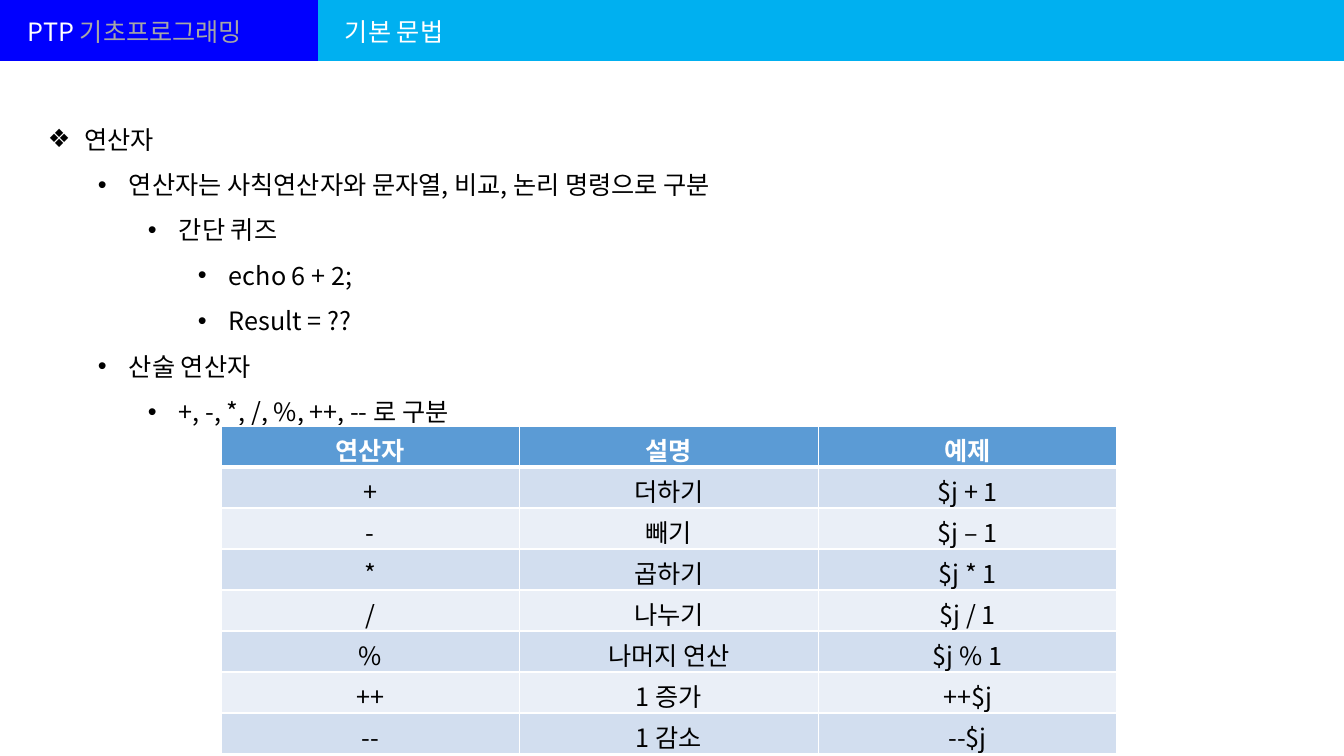
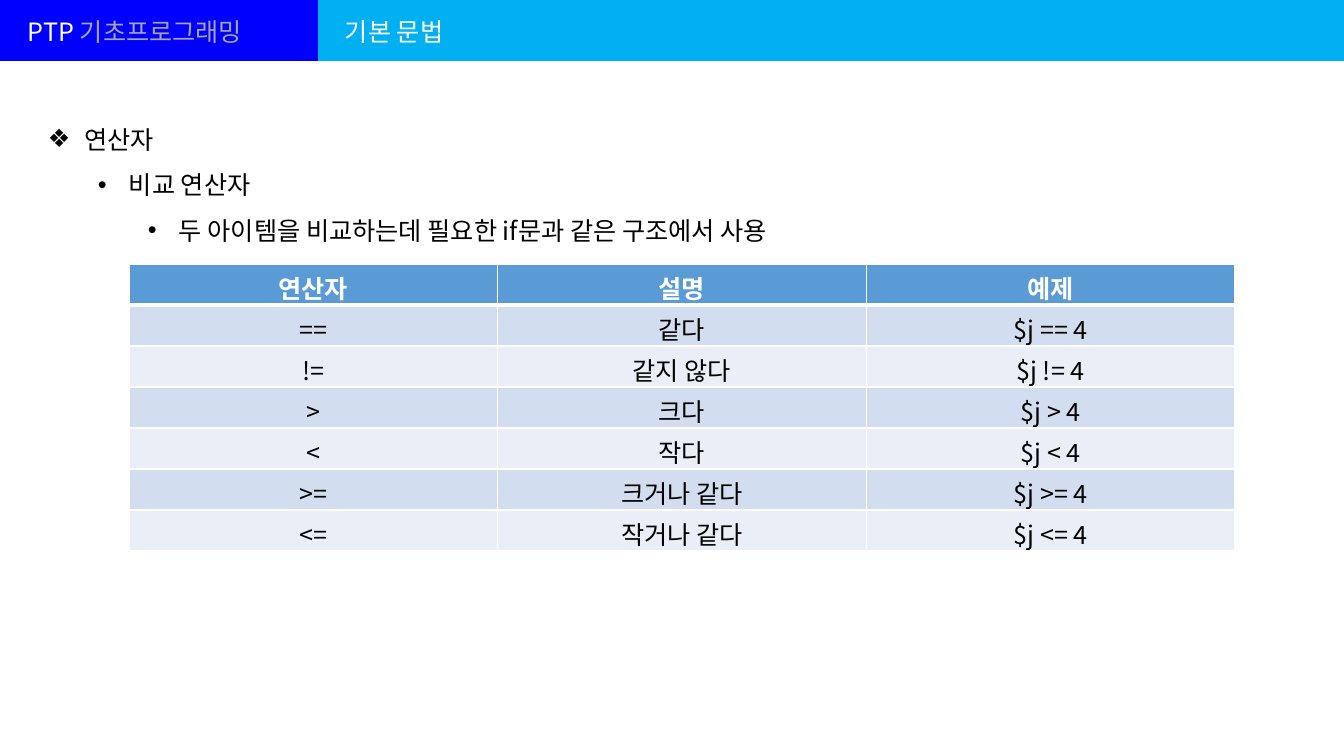
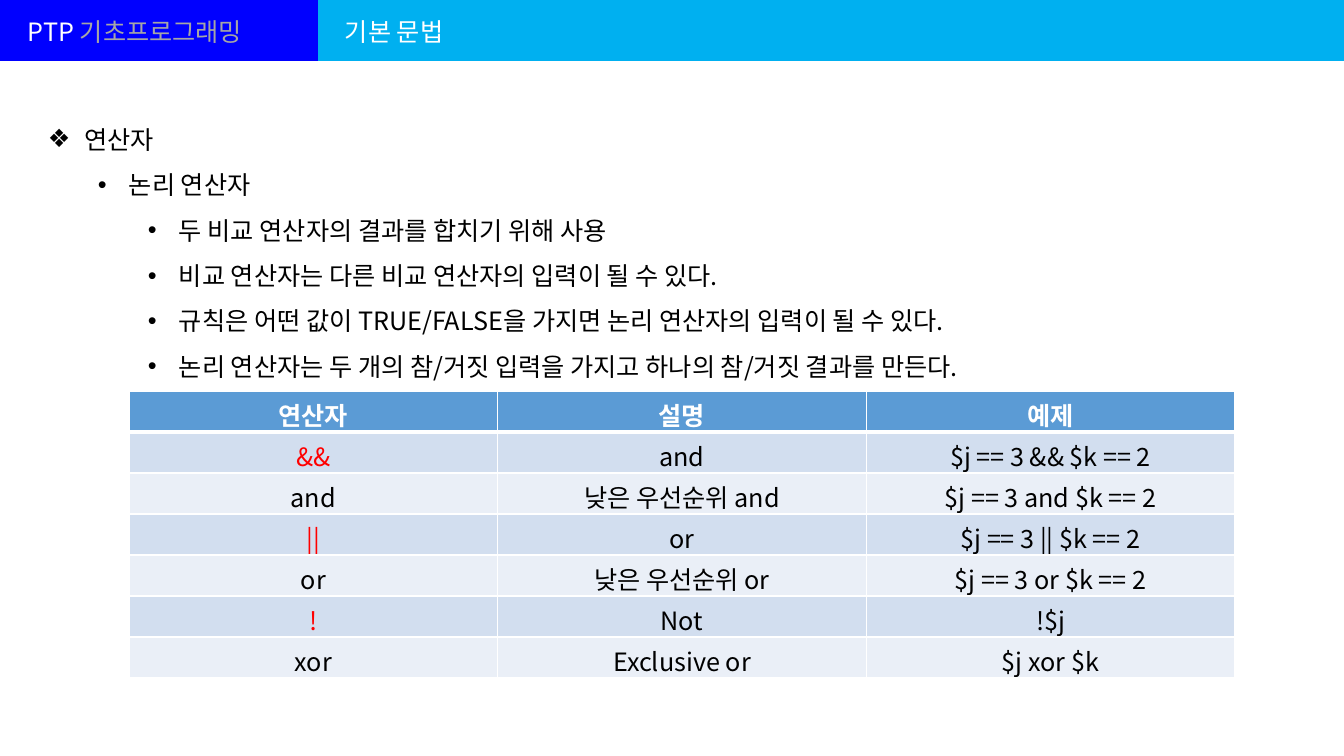
from dataclasses import dataclass

from lxml import etree
from pptx import Presentation
from pptx.dml.color import RGBColor
from pptx.enum.shapes import MSO_CONNECTOR
from pptx.enum.text import MSO_AUTO_SIZE, PP_ALIGN
from pptx.oxml.ns import qn
from pptx.util import Emu, Pt

STRAIGHT = MSO_CONNECTOR.STRAIGHT
GROW = MSO_AUTO_SIZE.SHAPE_TO_FIT_TEXT
CENTER = PP_ALIGN.CENTER


@dataclass(frozen=True)
class Theme:
    font: str = "Noto Sans CJK KR"
    size: int = 18
    band: int = 45
    rule: int = 1
    thick: int = 3
    white: str = "FFFFFF"
    black: str = "000000"
    gray: str = "A6A6A6"
    red: str = "FF0000"
    blue: str = "0000FF"
    sky: str = "00B0F0"
    head: str = "5B9BD5"
    odd: str = "D2DEEF"
    even: str = "EAEFF7"


T = Theme()

BANDS = [(313, 1344, T.sky), (0, 318, T.blue)]
TITLES = [
    ((18, 11, 250, 40), [("PTP ", T.white), ("기초프로그래밍", T.gray)]),
    ((335, 11, 131, 40), [("기본 문법", T.white)]),
]
HEAD = ("연산자", "설명", "예제")
MARKED = {"&&", "||", "!"}
SLIDES = [
    {
        "points": [
            (0, " 연산자"),
            (1, "연산자는 사칙연산자와 문자열, 비교, 논리 명령으로 구분"),
            (2, "간단 퀴즈"),
            (3, "echo 6 + 2;"),
            (3, "Result = ??"),
            (1, "산술 연산자"),
            (2, "+, -, *, /, %, ++, -- 로 구분"),
        ],
        "place": (221, 426, 896),
        "rows": [
            ("+", "더하기", "$j + 1"),
            ("-", "빼기", "$j – 1"),
            ("*", "곱하기", "$j * 1"),
            ("/", "나누기", "$j / 1"),
            ("%", "나머지 연산", "$j % 1"),
            ("++", "1 증가", "++$j"),
            ("--", "1 감소", "--$j"),
        ],
    },
    {
        "points": [
            (0, " 연산자"),
            (1, "비교 연산자"),
            (2, "두 아이템을 비교하는데 필요한 if문과 같은 구조에서 사용"),
        ],
        "place": (129, 264, 1106),
        "rows": [
            ("==", "같다", "$j == 4"),
            ("!=", "같지 않다", "$j != 4"),
            (">", "크다", "$j > 4"),
            ("<", "작다", "$j < 4"),
            (">=", "크거나 같다", "$j >= 4"),
            ("<=", "작거나 같다", "$j <= 4"),
        ],
    },
    {
        "points": [
            (0, " 연산자"),
            (1, "논리 연산자"),
            (2, "두 비교 연산자의 결과를 합치기 위해 사용"),
            (2, "비교 연산자는 다른 비교 연산자의 입력이 될 수 있다."),
            (2, "규칙은 어떤 값이 TRUE/FALSE을 가지면 논리 연산자의 입력이 될 수 있다."),
            (2, "논리 연산자는 두 개의 참/거짓 입력을 가지고 하나의 참/거짓 결과를 만든다."),
        ],
        "place": (129, 391, 1106),
        "rows": [
            ("&&", "and", "$j == 3 && $k == 2"),
            ("and", "낮은 우선순위 and", "$j == 3 and $k == 2"),
            ("||", "or", "$j == 3 || $k == 2"),
            ("or", "낮은 우선순위 or", "$j == 3 or $k == 2"),
            ("!", "Not", "!$j"),
            ("xor", "Exclusive or", "$j xor $k"),
        ],
    },
]


def px(n):
    return Emu(round(n * 12192000 / 1344))


def rgb(color):
    return RGBColor.from_string(color)


def style(para, color, bold=False):
    font = para.font
    font.size = Pt(T.size)
    font.bold = bold
    font.color.rgb = rgb(color)
    font.name = T.font
    props = para._p.pPr.find(qn("a:defRPr"))
    etree.SubElement(props, qn("a:ea"), typeface=T.font)


def add_bands(slide, layout):
    for left, right, color in BANDS:
        band = slide.shapes.add_connector(STRAIGHT, px(left), px(30), px(right), px(30))
        band.line.color.rgb = rgb(color)
        band.line.width = Pt(T.band)
        etree.SubElement(band.element.spPr, qn("a:effectLst"))
        layout.element.cSld.spTree.append(band.element)


def add_box(slide, place, wrap):
    frame = slide.shapes.add_textbox(*map(px, place)).text_frame
    frame.word_wrap = wrap
    frame.auto_size = GROW
    return frame


def add_titles(slide):
    for place, parts in TITLES:
        para = add_box(slide, place, False).paragraphs[0]
        style(para, T.white)
        for text, color in parts:
            run = para.add_run()
            run.text = text
            if color != T.white:
                run.font.color.rgb = rgb(color)


def add_points(slide, points):
    frame = add_box(slide, (38, 104, 1291, 10 + 46 * len(points)), True)
    for i, (level, text) in enumerate(points):
        para = frame.add_paragraph() if i else frame.paragraphs[0]
        para.text = text
        para.level = level
        para.line_spacing = 1.5
        props = para._p.get_or_add_pPr()
        props.set("marL", str(px(31 + 50 * level)))
        props.set("indent", str(px(-31)))
        etree.SubElement(props, qn("a:buFont"), typeface="Arial")
        etree.SubElement(props, qn("a:buChar"), char="•" if level else "❖")
        style(para, T.black)


def add_edges(cell, row):
    top = T.thick if row == 1 else T.rule
    low = T.thick if row == 0 else T.rule
    edges = [("lnL", T.rule), ("lnR", T.rule), ("lnT", top), ("lnB", low)]
    props = cell._tc.get_or_add_tcPr()
    for i, (tag, width) in enumerate(edges):
        edge = etree.Element(qn("a:" + tag), w=str(Pt(width)))
        fill = etree.SubElement(edge, qn("a:solidFill"))
        etree.SubElement(fill, qn("a:srgbClr"), val=T.white)
        props.insert(i, edge)


def add_grid(slide, place, rows):
    left, top, width = place
    rows = [HEAD, *rows]
    size = (left, top, width, 41 * len(rows))
    grid = slide.shapes.add_table(len(rows), len(HEAD), *map(px, size)).table
    grid.first_row = grid.horz_banding = False
    for r, row in enumerate(rows):
        back = (T.odd if r % 2 else T.even) if r else T.head
        for c, text in enumerate(row):
            cell = grid.cell(r, c)
            cell.fill.solid()
            cell.fill.fore_color.rgb = rgb(back)
            add_edges(cell, r)
            para = cell.text_frame.paragraphs[0]
            para.text = text
            para.alignment = CENTER
            ink = T.red if text in MARKED else T.black
            style(para, ink if r else T.white, r == 0)


def main():
    deck = Presentation()
    deck.slide_width, deck.slide_height = px(1344), px(756)
    layout = deck.slide_layouts[6]
    for holder in list(layout.placeholders):
        layout.element.cSld.spTree.remove(holder.element)
    for i, page in enumerate(SLIDES):
        slide = deck.slides.add_slide(layout)
        if i == 0:
            add_bands(slide, layout)
        add_titles(slide)
        add_points(slide, page["points"])
        add_grid(slide, page["place"], page["rows"])
    deck.save("out.pptx")


if __name__ == "__main__":
    main()
